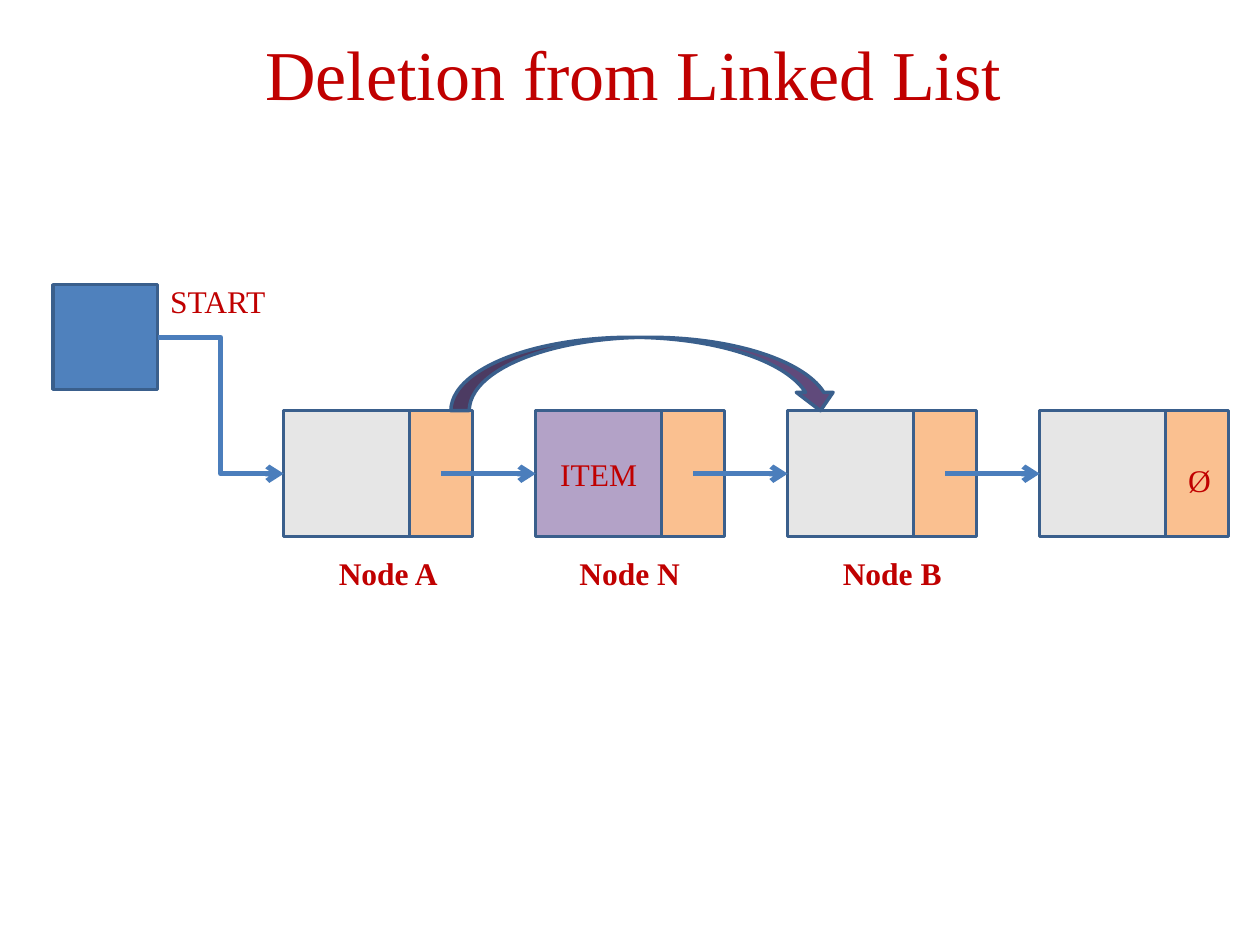
"""Build a slide showing how a node is deleted from a linked list."""
from dataclasses import dataclass

from lxml import etree
from pptx import Presentation
from pptx.dml.color import RGBColor
from pptx.enum.shapes import MSO_CONNECTOR, MSO_SHAPE
from pptx.enum.text import MSO_ANCHOR, MSO_AUTO_SIZE, PP_ALIGN
from pptx.oxml.ns import qn
from pptx.util import Cm, Pt

RECT, ARC = MSO_SHAPE.RECTANGLE, MSO_SHAPE.CURVED_DOWN_ARROW
STRAIGHT, ELBOW = MSO_CONNECTOR.STRAIGHT, MSO_CONNECTOR.ELBOW
MIDDLE, CENTER, LEFT = MSO_ANCHOR.MIDDLE, PP_ALIGN.CENTER, PP_ALIGN.LEFT
FIT, NO_FIT = MSO_AUTO_SIZE.SHAPE_TO_FIT_TEXT, MSO_AUTO_SIZE.NONE

COLORS = {
    "text": "C00000",
    "start": "4F81BD",
    "data": "E6E6E6",
    "item": "B3A2C7",
    "pointer": "FAC090",
    "bypass": "604A7B",
    "border": "3A5F8C",
    "link": "4B7EBC",
}
FONT = {"name": "Times New Roman", "size": Pt(18), "bold": False}
LABEL = {"auto_size": FIT, "word_wrap": False}
HEADING = {"auto_size": NO_FIT, "word_wrap": True, "vertical_anchor": MIDDLE}

NODE_X, NODE_Y, PITCH = 5.72, 8.28, 5.08
DATA_W, POINTER_W, NODE_H = 2.54, 1.27, 2.54
LINK_Y = NODE_Y + NODE_H / 2
LABEL_H = 1.02


@dataclass
class Box:
    left: float
    top: float
    width: float
    height: float

    def lengths(self) -> list:
        return [Cm(v) for v in (self.left, self.top, self.width, self.height)]


@dataclass
class Node:
    fill: str = "data"
    item: str = ""


@dataclass
class Label:
    text: str
    box: Box
    bold: bool = False


NODES = [Node(), Node("item", "ITEM"), Node(), Node()]
LABELS = [
    Label("Ø", Box(23.7, 9.17, 0.97, LABEL_H)),
    Label("START", Box(3.18, 5.56, 2.46, LABEL_H)),
    Label("Node A", Box(6.58, 11.05, 2.51, LABEL_H), True),
    Label("Node N", Box(11.43, 11.05, 2.57, LABEL_H), True),
    Label("Node B", Box(16.74, 11.05, 2.51, LABEL_H), True),
]


def color(name: str) -> RGBColor:
    return RGBColor.from_string(COLORS[name])


def apply(target, values: dict) -> None:
    for key, value in values.items():
        setattr(target, key, value)


def write(tf, text: str, align=LEFT, **font) -> None:
    p = tf.paragraphs[0]
    p.alignment = align
    r = p.add_run()
    r.text = text
    apply(r.font, FONT | font)
    r.font.color.rgb = color("text")


def add_text(s, text: str, box: Box, frame: dict, align=LEFT, **font) -> None:
    tf = s.shapes.add_textbox(*box.lengths()).text_frame
    write(tf, text, align, **font)
    apply(tf, frame)


def add_box(s, kind, box: Box, fill: str, text: str = "") -> None:
    sp = s.shapes.add_shape(kind, *box.lengths())
    sp.shadow.inherit = False
    sp.fill.solid()
    sp.fill.fore_color.rgb = color(fill)
    sp.line.color.rgb = color("border")
    sp.line.width = Pt(2)
    if text:
        sp.text_frame.vertical_anchor = MIDDLE
        write(sp.text_frame, text, CENTER)


def add_link(s, kind, x1: float, y1: float, x2: float, y2: float) -> None:
    cx = s.shapes.add_connector(kind, Cm(x1), Cm(y1), Cm(x2), Cm(y2))
    cx.line.color.rgb = color("link")
    cx.line.width = Pt(3)
    etree.SubElement(cx.line._get_or_add_ln(), qn("a:tailEnd"), type="arrow")
    etree.SubElement(cx._element.spPr, qn("a:effectLst"))


def main() -> None:
    prs = Presentation()
    prs.slide_width, prs.slide_height = Cm(25.4), Cm(19.05)
    s = prs.slides.add_slide(prs.slide_layouts[6])

    add_text(s, "Deletion from Linked List", Box(1.4, 0, 22.73, 2.92),
             HEADING, CENTER, size=Pt(40))
    add_box(s, RECT, Box(1.07, 5.74, 2.11, 2.11), "start")

    lefts = [NODE_X + i * PITCH for i in range(len(NODES))]
    for x, node in zip(lefts, NODES):
        add_box(s, RECT, Box(x, NODE_Y, DATA_W, NODE_H), node.fill, node.item)
        add_box(s, RECT, Box(x + DATA_W, NODE_Y, POINTER_W, NODE_H), "pointer")

    add_link(s, ELBOW, 3.18, 6.8, NODE_X, LINK_Y)
    for x in lefts[:-1]:
        add_link(s, STRAIGHT, x + DATA_W + POINTER_W / 2, LINK_Y,
                 x + PITCH, LINK_Y)

    add_box(s, ARC, Box(9.09, 6.8, 7.82, 1.48), "bypass")
    for label in LABELS:
        add_text(s, label.text, label.box, LABEL, bold=label.bold)
    prs.save("out.pptx")


if __name__ == "__main__":
    main()
